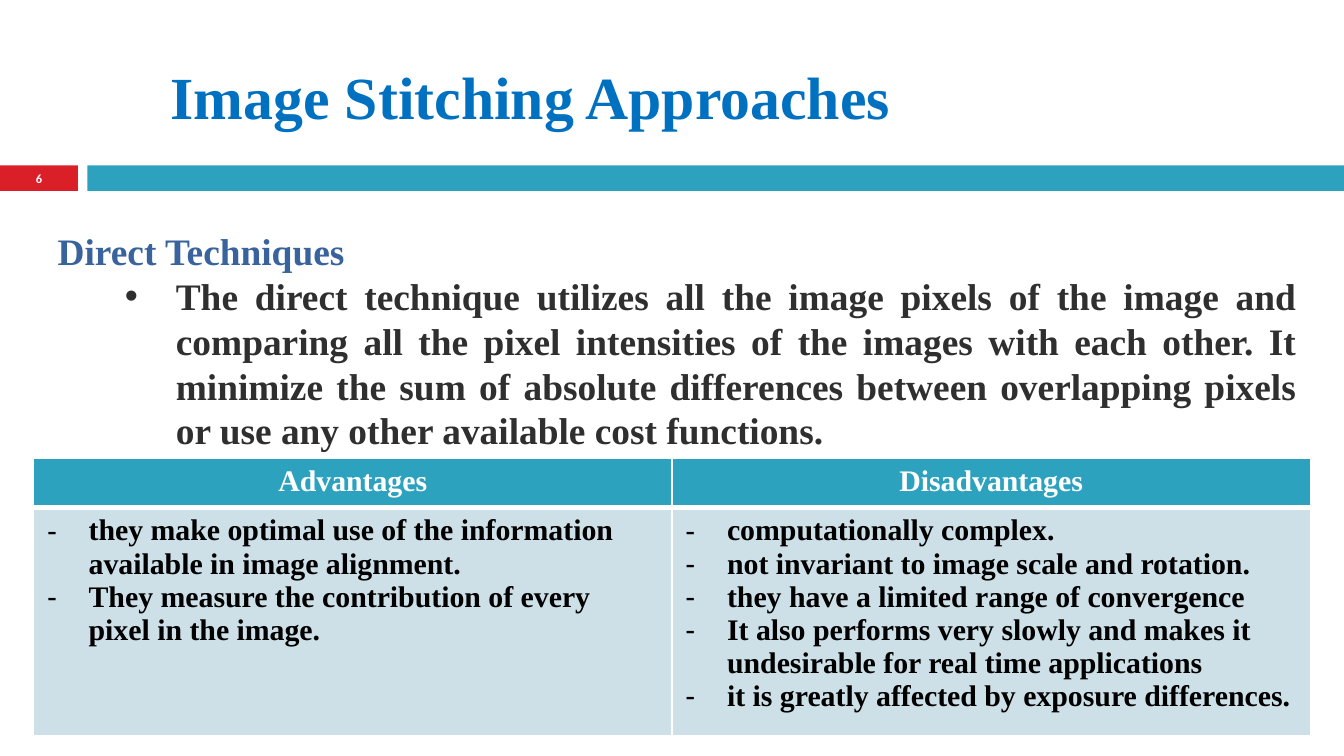
from lxml import etree
from pptx import Presentation
from pptx.dml.color import RGBColor
from pptx.enum import shapes, text
from pptx.oxml.ns import qn
from pptx.util import Inches, Pt

TEAL, RED, WHITE = "2DA2BF", "DA1F28", "FFFFFF"
SERIF = "Times New Roman"


def style(paragraph, size, color, font=SERIF, align=text.PP_ALIGN.LEFT):
    paragraph.alignment = align
    for run in paragraph.runs:
        run.font.name, run.font.size, run.font.bold = font, Pt(size), True
        run.font.color.rgb = RGBColor.from_string(color)


def add_bullet(paragraph, char, margin, indent):
    properties = paragraph._p.get_or_add_pPr()
    properties.set("marL", str(Inches(margin)))
    properties.set("indent", str(Inches(indent)))
    etree.SubElement(properties, qn("a:buFont"), typeface="Arial")
    etree.SubElement(properties, qn("a:buChar"), char=char)


presentation = Presentation()
presentation.slide_width = Inches(10)
presentation.slide_height = Inches(10) * 9 // 16
slide = presentation.slides.add_slide(presentation.slide_layouts[5])

# Title
title = slide.shapes.title
title.left, title.top = Inches(1.17), Inches(0.36)
title.width, title.height = Inches(6.75), Inches(0.67)
title.text_frame.text = "Image Stitching Approaches"
title.text_frame.vertical_anchor = text.MSO_ANCHOR.BOTTOM
style(title.text_frame.paragraphs[0], 32, "0070C0")

# Divider bars with the slide number
for left, width, color in [(0, 0.58, RED), (0.65, 9.35, TEAL)]:
    bar = slide.shapes.add_shape(shapes.MSO_SHAPE.RECTANGLE, Inches(left),
                                 Inches(1.23), Inches(width), Inches(0.19))
    bar.shadow.inherit = False
    bar.fill.solid()
    bar.fill.fore_color.rgb = RGBColor.from_string(color)
    bar.line.fill.background()

number = slide.shapes.add_textbox(0, Inches(1.23), Inches(0.58), Inches(0.2))
frame = number.text_frame
frame.word_wrap = True
frame.margin_top = frame.margin_bottom = 0
frame.vertical_anchor = text.MSO_ANCHOR.MIDDLE
frame.text = "6"
style(frame.paragraphs[0], 6.7, WHITE, "Calibri", text.PP_ALIGN.CENTER)

# Description
body = slide.shapes.add_textbox(Inches(0.33), Inches(1.65), Inches(9.42), Inches(2.79))
frame = body.text_frame
frame.word_wrap = True
frame.text = "Direct Techniques"
heading = frame.paragraphs[0]
description = frame.add_paragraph()
description.text = (
    "The direct technique utilizes all the image pixels of the image and comparing "
    "all the pixel intensities of the images with each other. It minimize the sum of "
    "absolute differences between overlapping pixels or use any other available cost "
    "functions.")
description.level = 1
add_bullet(description, "•", 0.88, -0.38)
for paragraph, color in [(heading, "39639D"), (description, "2F2F2F")]:
    style(paragraph, 20, color, align=text.PP_ALIGN.JUSTIFY)

# Comparison table
columns = {
    "Advantages": [
        "they make optimal use of the information available in image alignment.",
        "They measure the contribution of every pixel in the image.",
    ],
    "Disadvantages": [
        "computationally complex.",
        "not invariant to image scale and rotation.",
        "they have a limited range of convergence",
        "It also performs very slowly and makes it undesirable for real time applications",
        "it is greatly affected by exposure differences.",
    ],
}
table = slide.shapes.add_table(2, 2, Inches(0.25), Inches(3.41),
                               Inches(9.5), Inches(2.06)).table
table.rows[0].height, table.rows[1].height = Inches(0.36), Inches(1.7)

for column, (name, points) in enumerate(columns.items()):
    header, details = table.cell(0, column), table.cell(1, column)
    header.text_frame.text = name
    style(header.text_frame.paragraphs[0], 16, WHITE, align=text.PP_ALIGN.CENTER)
    details.text_frame.text = "\n".join(points)
    for paragraph in details.text_frame.paragraphs:
        add_bullet(paragraph, "-", 0.31, -0.31)
        style(paragraph, 16, "000000")

    for row, (cell, fill) in enumerate([(header, TEAL), (details, "CDE0E8")]):
        properties = cell._tc.get_or_add_tcPr()
        for side in ("lnL", "lnR", "lnT", "lnB"):
            on_divider = (row, side) in [(0, "lnB"), (1, "lnT")]
            line = etree.SubElement(properties, qn(f"a:{side}"),
                                    w=str(Pt(3 if on_divider else 1)))
            solid = etree.SubElement(line, qn("a:solidFill"))
            etree.SubElement(solid, qn("a:srgbClr"), val=WHITE)
        cell.fill.solid()
        cell.fill.fore_color.rgb = RGBColor.from_string(fill)

presentation.save("out.pptx")
